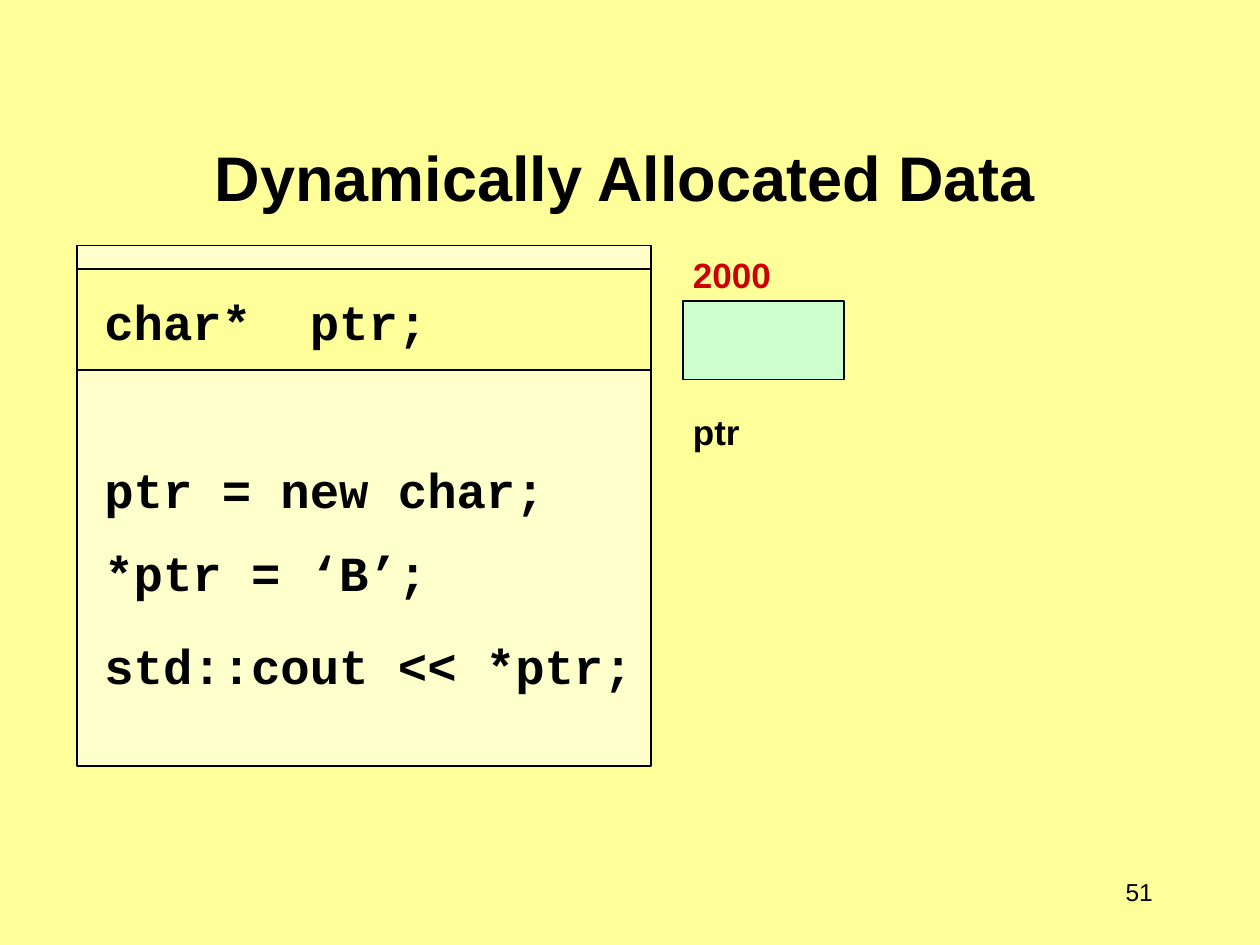
from pptx import Presentation
from pptx.dml.color import RGBColor
from pptx.enum import shapes, text
from pptx.oxml import xmlchemy
from pptx.util import Cm, Pt

BLACK = RGBColor(0x00, 0x00, 0x00)
RED = RGBColor(0xCC, 0x00, 0x00)
YELLOW = RGBColor(0xFF, 0xFF, 0x99)
CREAM = RGBColor(0xFF, 0xFF, 0xCC)
GREEN = RGBColor(0xCC, 0xFF, 0xCC)


def write(tf, line, first=False, size=20, font="Arial", color=BLACK, bold=True,
          align=text.PP_ALIGN.LEFT, before=0, spacing=1.0):
    """Put one formatted, unbulleted line into a text frame."""
    p = tf.paragraphs[0] if first else tf.add_paragraph()
    pPr = p._p.get_or_add_pPr()
    pPr.set("marL", "0")
    pPr.set("indent", "0")
    pPr.append(xmlchemy.OxmlElement("a:buNone"))
    p.alignment = align
    p.line_spacing = spacing
    p.space_before = Pt(before)
    r = p.add_run()
    r.text = line
    r.font.name = font
    r.font.size = Pt(size)
    r.font.bold = bold
    r.font.color.rgb = color


prs = Presentation()
prs.slide_width, prs.slide_height = Cm(25.4), Cm(19.05)
s = prs.slides.add_slide(prs.slide_layouts[1])
s.background.fill.solid()
s.background.fill.fore_color.rgb = YELLOW

# Code panel, memory cell and highlighted declaration
for left, top, width, height, color in (
    (1.55, 4.95, 11.58, 10.49, CREAM),
    (13.77, 6.07, 3.25, 1.58, GREEN),
    (1.55, 5.43, 11.58, 2.03, YELLOW),
):
    sp = s.shapes.add_shape(shapes.MSO_SHAPE.RECTANGLE,
                            Cm(left), Cm(top), Cm(width), Cm(height))
    sp.shadow.inherit = False
    sp.fill.solid()
    sp.fill.fore_color.rgb = color
    sp.line.color.rgb = BLACK
    sp.line.width = Pt(1)

# Address above the cell and variable name below it
tf = s.shapes.add_textbox(Cm(13.72), Cm(4.98), Cm(9.53), Cm(6.35)).text_frame
tf.word_wrap = True
write(tf, "2000", first=True, color=RED)
write(tf, "ptr", before=65.6)

# Title
title = s.shapes.title
title.left, title.top, title.width, title.height = Cm(1.7), Cm(1.27), Cm(21.8), Cm(3.18)
tf = title.text_frame
tf.auto_size = text.MSO_AUTO_SIZE.NONE
tf.vertical_anchor = text.MSO_ANCHOR.BOTTOM
write(tf, "Dynamically Allocated Data", first=True, size=36,
      align=text.PP_ALIGN.CENTER)

# Code listing
body = s.placeholders[1]
body.left, body.top, body.width, body.height = Cm(1.85), Cm(4.78), Cm(21.84), Cm(11.81)
tf = body.text_frame
tf.auto_size = text.MSO_AUTO_SIZE.NONE
tf.margin_top = Cm(1.22)
for i, (line, before) in enumerate((
    ("char*  ptr;", 0),
    ("ptr = new char;", 65.8),
    ("*ptr = ‘B’;", 17.2),
    ("std::cout << *ptr;", 22.9),
)):
    write(tf, line, first=i == 0, size=28, font="Courier New",
          before=before, spacing=0.9)

# Bring the placeholders in front of the panels
for sp in (title, body):
    s.shapes._spTree.append(sp._element)

# Slide number
tf = s.shapes.add_textbox(Cm(21.79), Cm(17.35), Cm(1.7), Cm(1.27)).text_frame
tf.word_wrap = True
tf.vertical_anchor = text.MSO_ANCHOR.MIDDLE
write(tf, "51", first=True, size=14, bold=False, align=text.PP_ALIGN.RIGHT)

prs.save("out.pptx")
